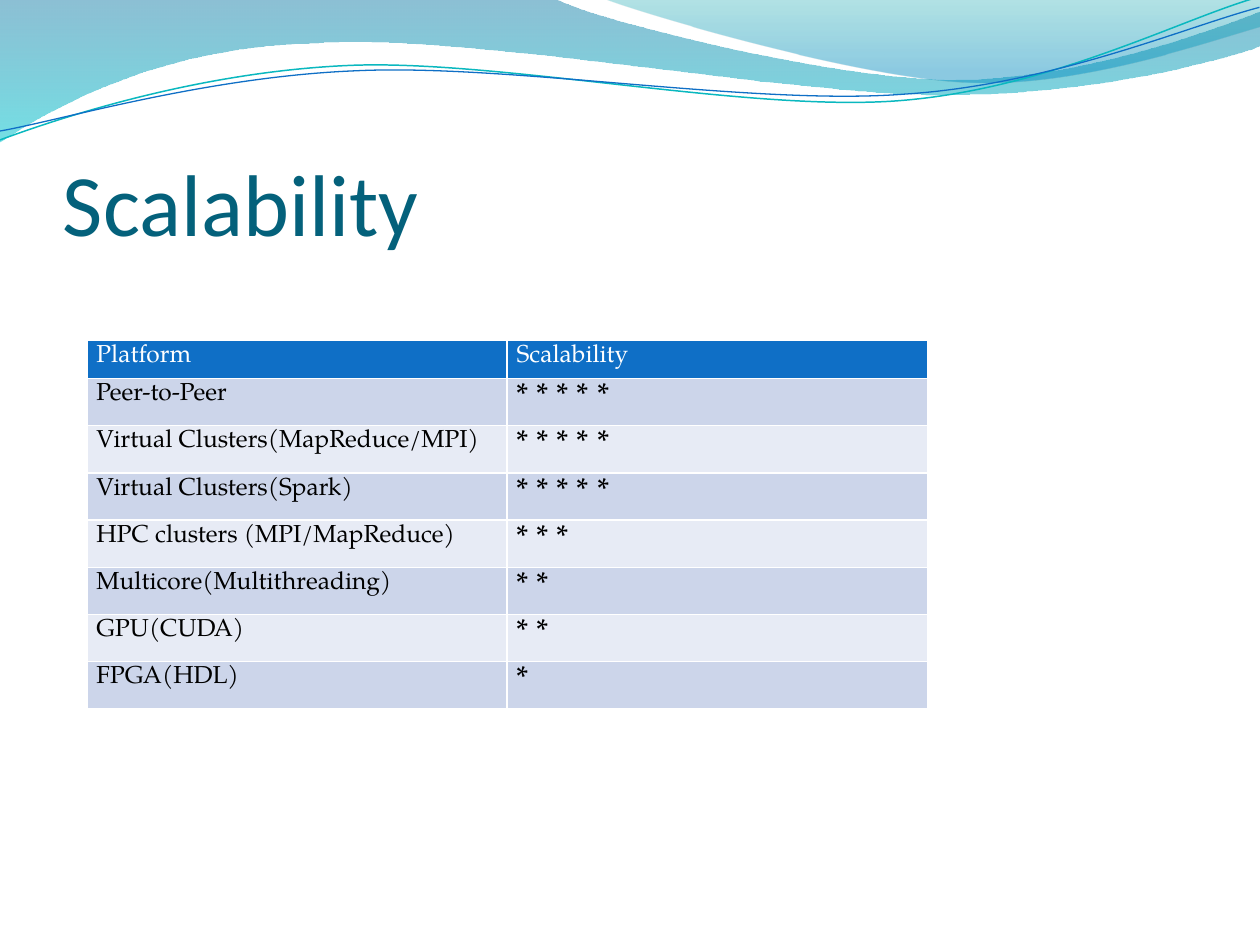
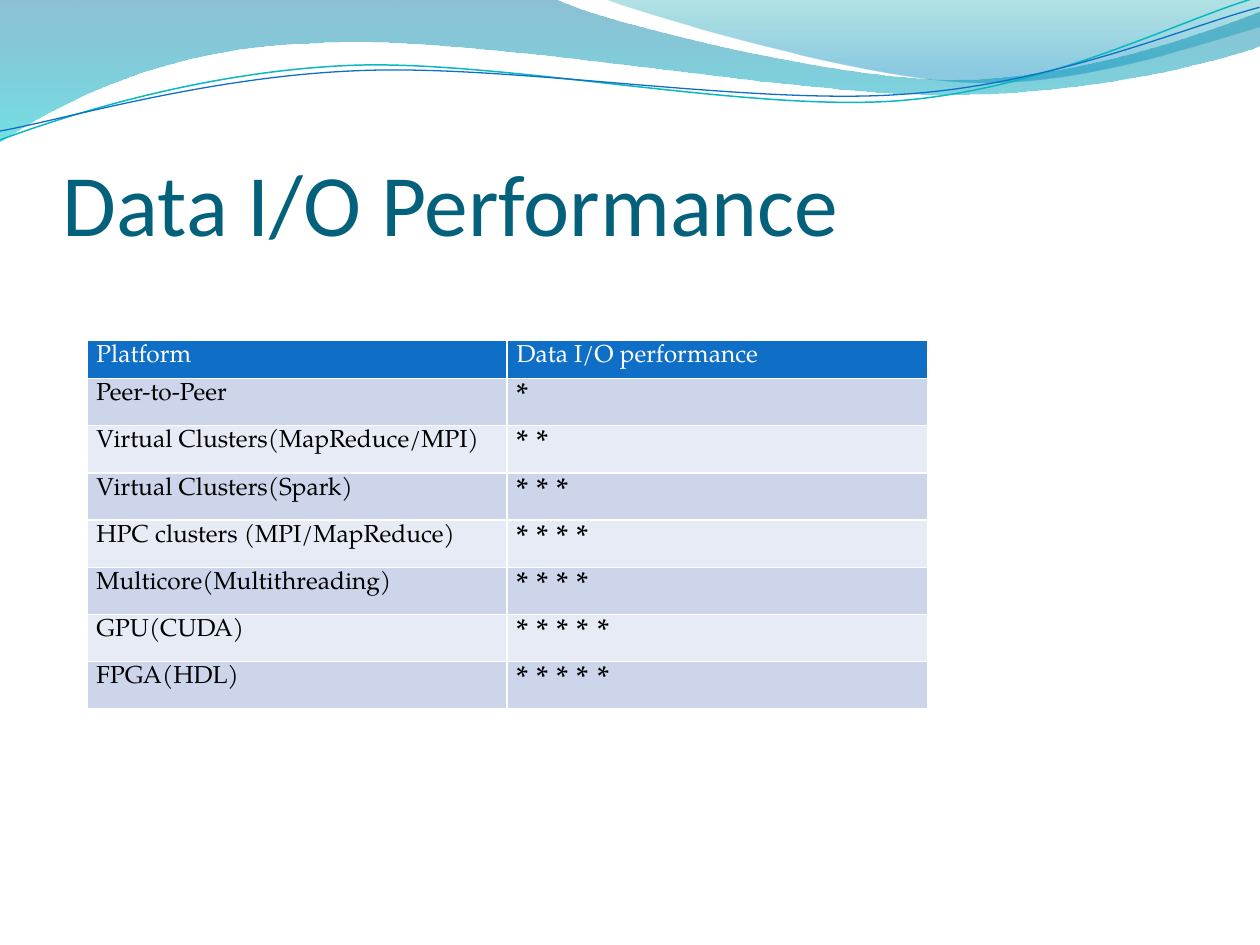
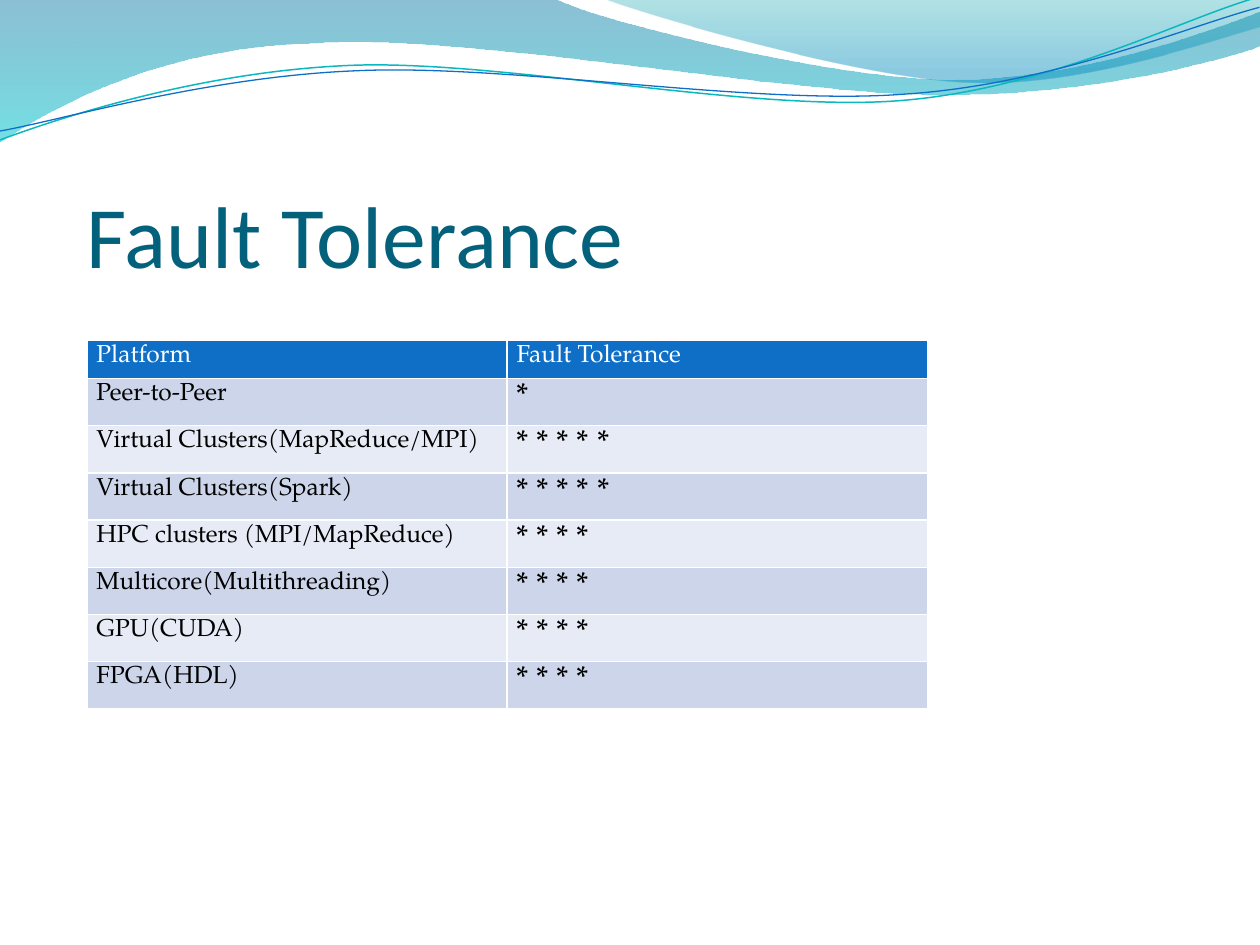
"""Builds three slides that rate computing platforms."""
from lxml.etree import SubElement
from pptx import Presentation
from pptx.dml.color import RGBColor as Rgb
from pptx.enum.text import MSO_ANCHOR as Anchor
from pptx.oxml.ns import qn
from pptx.util import Pt

PX = 4572
WHITE = Rgb(255, 255, 255)
BLACK = Rgb(0, 0, 0)
TITLE = Rgb(0x04, 0x61, 0x7B)
BLUE = Rgb(0x0F, 0x6F, 0xC6)
TEAL = Rgb(0x0A, 0xB8, 0xBF)
BANDS = [Rgb(0xCC, 0xD5, 0xEA), Rgb(0xE7, 0xEB, 0xF5)]
WAVE = [(Rgb(0, 0x74, 0xA1), 0, 45), (Rgb(0, 0xC6, 0xCF), 100, 55)]
CREST = [(Rgb(0, 0xA1, 0xA9), 0, 30), (Rgb(0, 0x8B, 0xBF), 80, 45)]
HEAD_FONT = "Calibri"
BODY_FONT = "TeX Gyre Pagella"
TILT = 357.3

WAVE_PATH = [
    (0, 0), (880, -2),
    (952, 34, 1328, 126, 1516, 126), (1706, 126, 1916, 52, 2000, 18), (2002, 72),
    (1966, 88, 1740, 152, 1492, 150), (1244, 150, 764, 56, 514, 68),
    (258, 72, 92, 166, -2, 226), (0, 0),
]
CREST_PATH = [
    (958, -2), (1018, 22, 1364, 124, 1538, 130), (1712, 138, 1922, 64, 2000, 42),
    (2000, 0), (958, -2),
]
TEAL_PATH = [
    (-4, 175), (94, 144, 316, 82, 555, 83),
    (791, 84, 1183, 187, 1423, 180), (1664, 173, 1879, 71, 2000, 43),
]
BLUE_PATH = [
    (-4, 161), (92, 149, 329, 90, 567, 92),
    (807, 92, 1192, 177, 1432, 170), (1671, 166, 1885, 84, 2003, 59),
]

NAMES = [
    "Peer-to-Peer", "Virtual Clusters(MapReduce/MPI)", "Virtual Clusters(Spark)",
    "HPC clusters (MPI/MapReduce)", "Multicore(Multithreading)", "GPU(CUDA)", "FPGA(HDL)",
]
HIGH = (100, 153, 1800, 250)
LOW = (138, 236, 1724, 218)
PAGES = [
    ("Scalability", HIGH, "Scalability", [5, 5, 5, 3, 2, 2, 1]),
    ("Data I/O Performance", HIGH, "Data I/O performance", [1, 2, 3, 4, 4, 5, 5]),
    ("Fault Tolerance", LOW, "Fault Tolerance", [1, 5, 5, 4, 4, 4, 4]),
]


class Deck:
    """Holds the style and the current slide."""

    def __init__(self):
        """Start a deck of 10 by 7.5 inches."""
        self.prs = Presentation()
        self.prs.slide_width = 2000 * PX
        self.prs.slide_height = 1500 * PX

    def page(self):
        """Add a blank slide with the waves on top."""
        self.slide = self.prs.slides.add_slide(self.prs.slide_layouts[6])
        self.slide.background.fill.solid()
        self.slide.background.fill.fore_color.rgb = WHITE
        self.area(WAVE_PATH, WAVE)
        self.area(CREST_PATH, CREST)
        self.curve(TEAL_PATH, TEAL, 0.85)
        self.curve(BLUE_PATH, BLUE, 0.75)

    def shape(self, route, close):
        """Add a freeform whose six-number parts are cubic curves."""
        spots = [part[i:i + 2] for part in route for i in range(0, len(part), 2)]
        build = self.slide.shapes.build_freeform(*spots[0], scale=PX)
        build.add_line_segments(spots[1:], close=close)
        shape = build.convert_to_shape()
        shape.shadow.inherit = False
        lines = iter(list(shape.element.iter(qn("a:lnTo"))))
        for part in route[1:]:
            first = next(lines)
            if len(part) == 6:
                first.tag = qn("a:cubicBezTo")
                for line in (next(lines), next(lines)):
                    first.append(line[0])
                    line.getparent().remove(line)
        return shape

    def area(self, route, stops):
        """Add a closed outline with a clear gradient."""
        shape = self.shape(route, True)
        shape.line.fill.background()
        shape.fill.gradient()
        shape.fill.gradient_angle = 270
        for stop, (tint, place, _) in zip(shape.fill.gradient_stops, stops):
            stop.color.rgb = tint
            stop.position = place / 100
        tints = list(shape.element.spPr.iter(qn("a:srgbClr")))
        for node, (_, _, alpha) in zip(tints, stops):
            SubElement(node, qn("a:alpha"), val=str(alpha * 1000))

    def curve(self, route, tint, width):
        """Add an open, slightly turned line."""
        shape = self.shape(route, False)
        shape.rotation = TILT
        shape.fill.background()
        shape.line.color.rgb = tint
        shape.line.width = Pt(width)

    def font(self, frame, name, size, tint):
        """Format the runs of the first paragraph."""
        for run in frame.paragraphs[0].runs:
            run.font.name = name
            run.font.size = Pt(size)
            run.font.bold = False
            run.font.color.rgb = tint

    def title(self, text, box):
        """Add the slide title."""
        frame = self.slide.shapes.add_textbox(*(n * PX for n in box)).text_frame
        frame.word_wrap = True
        frame.vertical_anchor = Anchor.BOTTOM
        frame.margin_left = frame.margin_right = frame.margin_bottom = 0
        frame.margin_top = 10 * PX
        frame.text = text
        self.font(frame, HEAD_FONT, 50, TITLE)

    def cell(self, cell, text, size, tint, fill):
        """Fill and format one table cell."""
        cell.fill.solid()
        cell.fill.fore_color.rgb = fill
        cell.margin_left = cell.margin_right = 15 * PX
        cell.margin_top = cell.margin_bottom = 7 * PX
        cell.text_frame.text = text
        self.font(cell.text_frame, BODY_FONT, size, tint)

    def table(self, label, marks):
        """Add the table of platforms and their stars."""
        box = (n * PX for n in (138, 540, 1334, 585))
        grid = self.slide.shapes.add_table(len(marks) + 1, 2, *box).table
        for row in grid.rows:
            row.height = 75 * PX
        grid.rows[0].height = 60 * PX
        for col, text in enumerate(("Platform", label)):
            self.cell(grid.cell(0, col), text, 14, WHITE, BLUE)
        for row, (name, mark) in enumerate(zip(NAMES, marks), 1):
            fill = BANDS[(row - 1) % 2]
            stars = " ".join("*" * mark)
            self.cell(grid.cell(row, 0), name, 14, BLACK, fill)
            self.cell(grid.cell(row, 1), stars, 18, BLACK, fill)


def main():
    """Build and save the deck."""
    deck = Deck()
    for title, box, label, marks in PAGES:
        deck.page()
        deck.title(title, box)
        deck.table(label, marks)
    deck.prs.save("out.pptx")


if __name__ == "__main__":
    main()
